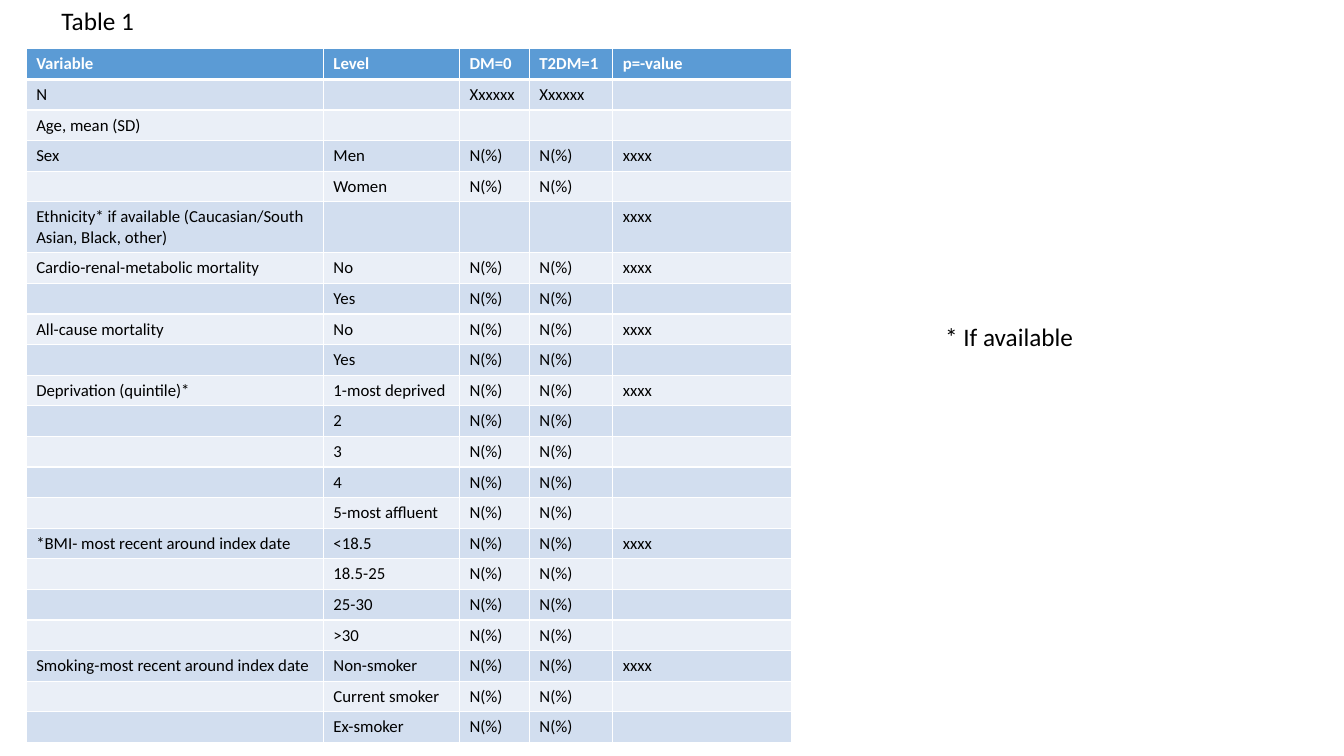
from lxml.etree import SubElement
from pptx import Presentation
from pptx.dml.color import RGBColor
from pptx.oxml.ns import qn
from pptx.util import Cm, Pt

WHITE = RGBColor(0xFF, 0xFF, 0xFF)
BLACK = RGBColor(0x00, 0x00, 0x00)
HEADER_BLUE = RGBColor(0x5B, 0x9B, 0xD5)
BAND_DARK = RGBColor(0xD2, 0xDE, 0xEF)
BAND_LIGHT = RGBColor(0xEA, 0xEF, 0xF7)


def write(para, text, size=12, color=BLACK, bold=False):
    if not text:
        # An empty cell needs its own size so that the row stays low
        SubElement(para._p, qn("a:endParaRPr"), sz=str(size * 100))
        return
    span = para.add_run()
    span.text = text
    span.font.name = "Calibri"
    span.font.size = Pt(size)
    span.font.bold = bold
    span.font.color.rgb = color


def add_border(cell, side, points):
    line = SubElement(cell._tc.get_or_add_tcPr(), qn(f"a:ln{side}"), w=str(Pt(points)))
    fill = SubElement(line, qn("a:solidFill"))
    SubElement(fill, qn("a:srgbClr"), val=str(WHITE))


deck = Presentation()
deck.slide_width, deck.slide_height = Cm(33.87), Cm(19.05)
page = deck.slides.add_slide(deck.slide_layouts[6])

# Table rows: each variable with its levels, the p-value on the first level
groups = [
    ("Sex", ["Men", "Women"]),
    ("Ethnicity* if available (Caucasian/South Asian, Black, other)", [""]),
    ("Cardio-renal-metabolic mortality", ["No", "Yes"]),
    ("All-cause mortality ", ["No", "Yes"]),
    ("Deprivation (quintile)*", ["1-most deprived", "2", "3", "4", "5-most affluent"]),
    ("*BMI- most recent around index date", ["<18.5", "18.5-25", "25-30", ">30"]),
    ("Smoking-most recent around index date", ["Non-smoker", "Current smoker", "Ex-smoker"]),
]
rows = [
    ["Variable", "Level", "DM=0", "T2DM=1", "p=-value"],
    ["N", "", "Xxxxxx", "Xxxxxx", ""],
    ["Age, mean (SD)", "", "", "", ""],
]
for variable, levels in groups:
    for index, level in enumerate(levels):
        count = "N(%)" if level else ""
        first = index == 0
        rows.append([variable if first else "", level, count, count, "xxxx" if first else ""])

# Table
widths = [7.49, 3.43, 1.76, 2.1, 4.52]
row_height = 0.77
table = page.shapes.add_table(
    len(rows), len(widths), Cm(0.66), Cm(1.23), Cm(sum(widths)), Cm(row_height * len(rows))
).table
for column, width in zip(table.columns, widths):
    column.width = Cm(width)
for row_index, texts in enumerate(rows):
    table.rows[row_index].height = Cm(row_height)
    header = row_index == 0
    band = HEADER_BLUE if header else BAND_DARK if row_index % 2 else BAND_LIGHT
    for column_index, text in enumerate(texts):
        cell = table.cell(row_index, column_index)
        for side in "LRTB":
            thick = (header and side == "B") or (row_index == 1 and side == "T")
            add_border(cell, side, 3 if thick else 1)
        cell.fill.solid()
        cell.fill.fore_color.rgb = band
        write(cell.text_frame.paragraphs[0], text, color=WHITE if header else BLACK, bold=header)

# Title and footnote
for text, left, top, width in [("Table 1", 1.3, 0, 6.63), ("* If available", 23.57, 7.98, 7.85)]:
    box = page.shapes.add_textbox(Cm(left), Cm(top), Cm(width), Cm(1.03))
    box.text_frame.word_wrap = True
    write(box.text_frame.paragraphs[0], text, size=18)

deck.save("out.pptx")
